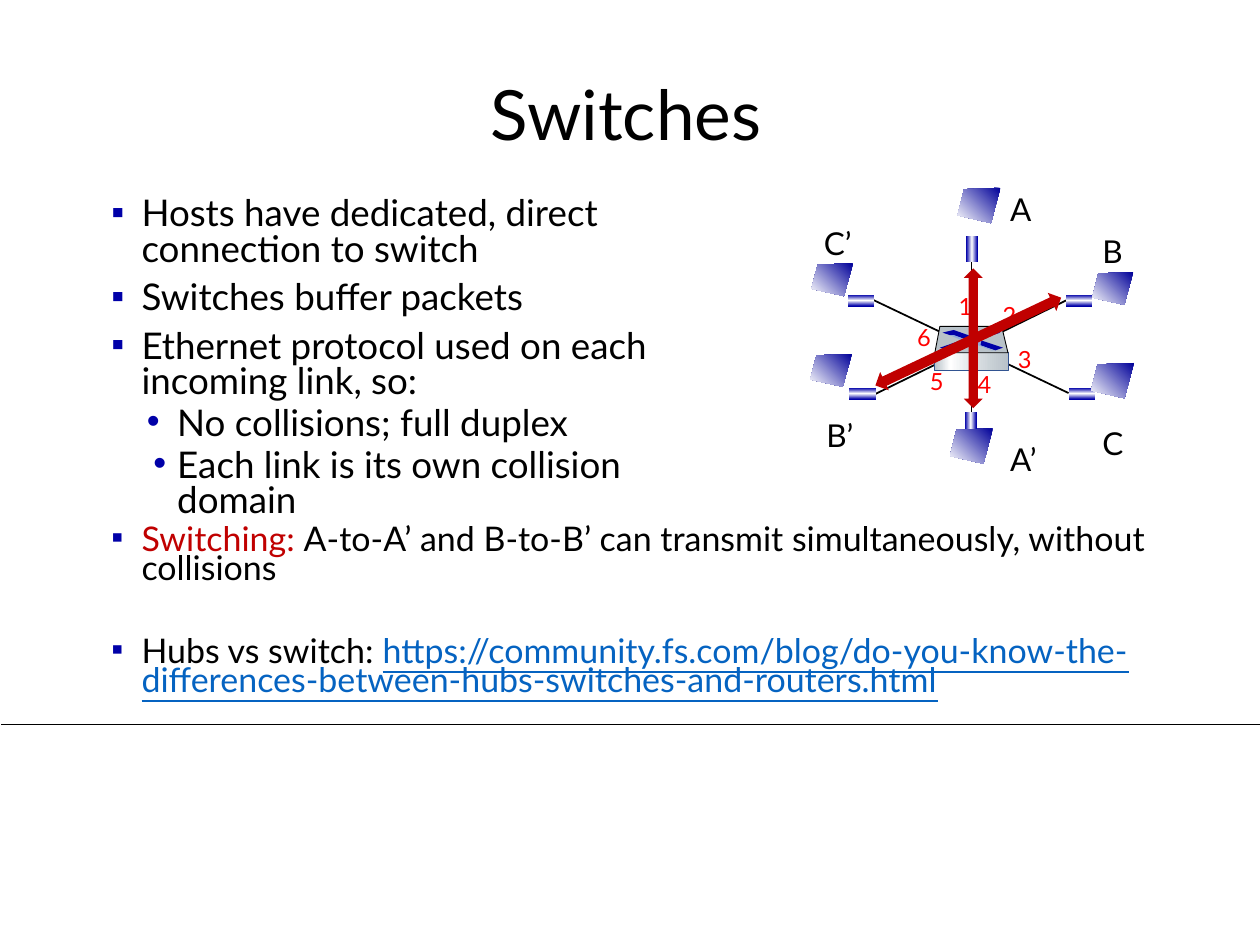
from lxml import etree
from pptx import Presentation
from pptx.dml.color import RGBColor
from pptx.enum.shapes import MSO_CONNECTOR, MSO_SHAPE
from pptx.enum.text import MSO_ANCHOR, MSO_AUTO_SIZE, PP_ALIGN
from pptx.oxml import parse_xml
from pptx.oxml.ns import nsdecls, qn
from pptx.util import Pt

STRAIGHT = MSO_CONNECTOR.STRAIGHT
RECTANGLE = MSO_SHAPE.RECTANGLE
DOUBLE_ARROW = MSO_SHAPE.LEFT_RIGHT_ARROW
MIDDLE = MSO_ANCHOR.MIDDLE
CENTER = PP_ALIGN.CENTER
NO_FIT = MSO_AUTO_SIZE.NONE

BLACK = RGBColor(0x00, 0x00, 0x00)
WHITE = RGBColor(0xFF, 0xFF, 0xFF)
RED = RGBColor(0xFF, 0x00, 0x00)
DARK_RED = RGBColor(0xC0, 0x00, 0x00)
NAVY = RGBColor(0x00, 0x00, 0x99)
BLUE = RGBColor(0x00, 0x00, 0xA8)
LIGHT_BLUE = RGBColor(0x8F, 0xAA, 0xDC)
LINK_BLUE = RGBColor(0x05, 0x63, 0xC1)
STEEL_BLUE = RGBColor(0x32, 0x54, 0x91)
GRAY = RGBColor(0xB8, 0xC2, 0xC9)
PALE_GRAY = RGBColor(0xD6, 0xDC, 0xE0)

SCREEN_STOPS = ((0, NAVY), (100, WHITE))
TUBE_STOPS = ((0, BLUE), (50, WHITE), (99, BLUE))
BODY_STOPS = ((0, GRAY), (21, WHITE), (60, PALE_GRAY), (100, GRAY))
SCREEN_OUTLINE = ((1, 0), (0.15, 0.04), (0, 0.78), (0.78, 1))


class SlideBuilder:
    font_name = "Lato"

    def __init__(self, slide):
        self.slide = slide
        self.shapes = slide.shapes

    def style_font(self, font, size, color=None):
        font.name = self.font_name
        font.size = Pt(size)
        if color is not None:
            font.color.rgb = color

    def title(self, text, left, top, width, height, size):
        shape = self.shapes.title
        shape.left, shape.top = Pt(left), Pt(top)
        shape.width, shape.height = Pt(width), Pt(height)
        frame = shape.text_frame
        frame.text = text
        frame.vertical_anchor = MIDDLE
        frame.auto_size = NO_FIT
        paragraph = frame.paragraphs[0]
        paragraph.alignment = CENTER
        paragraph.line_spacing = 0.9
        self.style_font(paragraph.font, size, BLACK)

    def line(self, x1, y1, x2, y2, width):
        connector = self.shapes.add_connector(STRAIGHT, Pt(x1), Pt(y1), Pt(x2), Pt(y2))
        connector.line.color.rgb = BLACK
        connector.line.width = Pt(width)
        etree.SubElement(connector._element.spPr, qn("a:effectLst"))

    def label(self, text, left, top, width, height, size, color):
        frame = self.shapes.add_textbox(Pt(left), Pt(top), Pt(width), Pt(height)).text_frame
        frame.margin_right = 0
        frame.word_wrap = True
        frame.auto_size = NO_FIT
        frame.text = text
        self.style_font(frame.paragraphs[0].font, size, color)

    def paint(self, shape, fill, angle=0, line=None, width=0.5):
        shape.shadow.inherit = False
        if isinstance(fill, RGBColor):
            shape.fill.solid()
            shape.fill.fore_color.rgb = fill
        else:
            shape.fill.gradient()
            gradient = shape._element.spPr.find(qn("a:gradFill"))
            stops = "".join(
                f'<a:gs pos="{position * 1000}"><a:srgbClr val="{color}"/></a:gs>'
                for position, color in fill
            )
            gradient.getparent().replace(gradient, parse_xml(
                f'<a:gradFill {nsdecls("a")} rotWithShape="1"><a:gsLst>{stops}</a:gsLst>'
                f'<a:lin ang="{angle * 60000}" scaled="0"/></a:gradFill>'
            ))
        if line is None:
            shape.line.fill.background()
        else:
            shape.line.color.rgb = line
            shape.line.width = Pt(width)

    def preset(self, kind, left, top, width, height, fill, rotation=0, line=None):
        shape = self.shapes.add_shape(kind, Pt(left), Pt(top), Pt(width), Pt(height))
        shape.rotation = rotation
        self.paint(shape, fill, line=line)

    def polygon(self, points, fill, angle=0, line=None):
        corners = [(Pt(x), Pt(y)) for x, y in points]
        builder = self.shapes.build_freeform(*corners[0])
        builder.add_line_segments(corners[1:], close=True)
        self.paint(builder.convert_to_shape(), fill, angle, line)

    def screen(self, left, top, width, height):
        points = [(left + x * width, top + y * height) for x, y in SCREEN_OUTLINE]
        self.polygon(points, SCREEN_STOPS, angle=135)

    def bullets(self, items, left, top, width, height, size, line_spacing):
        frame = self.shapes.add_textbox(Pt(left), Pt(top), Pt(width), Pt(height)).text_frame
        frame.word_wrap = True
        frame.margin_left = frame.margin_right = Pt(5.3)
        frame.margin_top = frame.margin_bottom = Pt(2.7)
        for index, (level, hanging, space, runs) in enumerate(items):
            paragraph = frame.add_paragraph() if index else frame.paragraphs[0]
            paragraph.level = level
            paragraph.line_spacing = line_spacing
            paragraph.space_before = Pt(space)
            properties = paragraph._p.get_or_add_pPr()
            properties.set("marL", str(Pt((20.9, 41.3)[level])))
            properties.set("indent", str(-Pt(hanging)))
            color = etree.SubElement(properties, qn("a:buClr"))
            etree.SubElement(color, qn("a:srgbClr"), val=str(BLUE))
            etree.SubElement(properties, qn("a:buFont"), typeface="Arial")
            etree.SubElement(properties, qn("a:buChar"), char="▪•"[level])
            self.style_font(paragraph.font, size)
            for text, run_color in runs:
                run = paragraph.add_run()
                run.text = text
                run.font.color.rgb = run_color
                if run_color == LINK_BLUE:
                    run.font.underline = True


def main():
    presentation = Presentation()
    presentation.slide_width, presentation.slide_height = Pt(720), Pt(540)
    builder = SlideBuilder(presentation.slides.add_slide(presentation.slide_layouts[5]))

    builder.line(0.7, 414, 720.7, 414, 0.5)
    builder.title("Switches", 47.5, 41, 620.6, 52.6, 39.6)

    for cable in ((555.1, 144, 555.1, 241.2), (499, 171.4, 610.6, 224.6),
                  (499.7, 225.4, 609.8, 171.4)):
        builder.line(*cable, 1)

    for text, left, top in (("A", 570.2, 105.1), ("A’", 570.2, 247.7),
                            ("B", 622.8, 128.9), ("B’", 465.1, 234),
                            ("C", 622.8, 239), ("C’", 463.7, 124.6)):
        builder.label(text, left, top, 32, 28.8, 18, BLACK)

    for number, (left, top) in enumerate(((540.7, 163.4), (565.9, 168.5), (574.6, 193.7),
                                          (551.5, 208.1), (524.2, 205.9), (517, 180.7)), 1):
        builder.label(str(number), left, top, 22.3, 23.8, 13.5, RED)

    for left, top, rotation in ((488.9, 164.2, 90), (489.6, 217.4, 90), (613.4, 164.2, 90),
                                (614.9, 217.4, 90), (552.2, 134.6, 0), (551.5, 235.4, 0)):
        builder.preset(RECTANGLE, left, top, 6.5, 15.1, TUBE_STOPS, rotation)

    for left, top, width, height in ((463.7, 150.5, 23.8, 18.7), (463, 202.3, 23.8, 18.7),
                                     (624.2, 155.5, 23.4, 18.7), (623.5, 207.4, 24.5, 20.2),
                                     (542.9, 244.8, 24.5, 20.2), (547.2, 107.3, 24.5, 20.2)):
        builder.screen(left, top, width, height)

    builder.preset(RECTANGLE, 534.2, 201.6, 41.8, 10.1, BODY_STOPS, line=STEEL_BLUE)
    builder.polygon(((534.2, 201.6), (537.1, 186.5), (572.4, 186.5), (576, 201.6)),
                    GRAY, line=BLACK)
    builder.polygon(((565.2, 187.9), (571.7, 190.1), (567.4, 191.5), (565.9, 191.5),
                     (555.1, 195.1), (545, 191.5), (542.9, 191.5), (538.6, 190.1),
                     (545, 188.6), (555.1, 192.2)), BLUE)
    builder.polygon(((560.2, 194.4), (573.1, 198.7), (568.8, 200.2), (560.2, 197.3)), BLUE)
    builder.polygon(((549.4, 194.4), (549.4, 197.3), (541.4, 200.2), (537.1, 198.7)), BLUE)
    builder.polygon(((542.9, 191.5), (545, 191.5), (555.1, 195.1), (565.9, 191.5),
                     (567.4, 191.5), (560.9, 194.4), (560.2, 197.3), (568.1, 200.2),
                     (566.6, 200.2), (555.1, 195.8), (543.6, 200.2), (541.4, 200.2),
                     (549.4, 197.3), (549.4, 194.4)), LIGHT_BLUE)

    builder.bullets((
        (0, 17.3, 0, [("Hosts have dedicated, direct connection to switch", BLACK)]),
        (0, 17.3, 7.5, [("Switches buffer packets", BLACK)]),
        (0, 17.3, 7.5, [("Ethernet protocol used on each incoming link, so:", BLACK)]),
        (1, 17.3, 3.8, [("No collisions; full duplex", BLACK)]),
        (1, 13.7, 3.8, [("Each link is its own collision domain", BLACK)]),
    ), 54.7, 110.9, 345.6, 203, 21, 0.8)
    builder.bullets((
        (0, 17.3, 0, [
            ("Switching: ", DARK_RED),
            ("A-to-A’ and B-to-B’ can transmit simultaneously, without collisions", BLACK),
        ]),
        (0, 17.3, 31.3, [
            ("Hubs vs switch: ", BLACK),
            ("https://community.fs.com/blog/do-you-know-the-differences-between-hubs-"
             "switches-and-routers.html", LINK_BLUE),
        ]),
    ), 54.7, 299.5, 613.4, 107.3, 19.4, 0.7)

    builder.preset(DOUBLE_ARROW, 516.2, 187.9, 79.9, 10.8, DARK_RED, 90)
    builder.preset(DOUBLE_ARROW, 494.6, 189.4, 117.4, 11.5, DARK_RED, 154.7)

    presentation.save("out.pptx")


if __name__ == "__main__":
    main()
